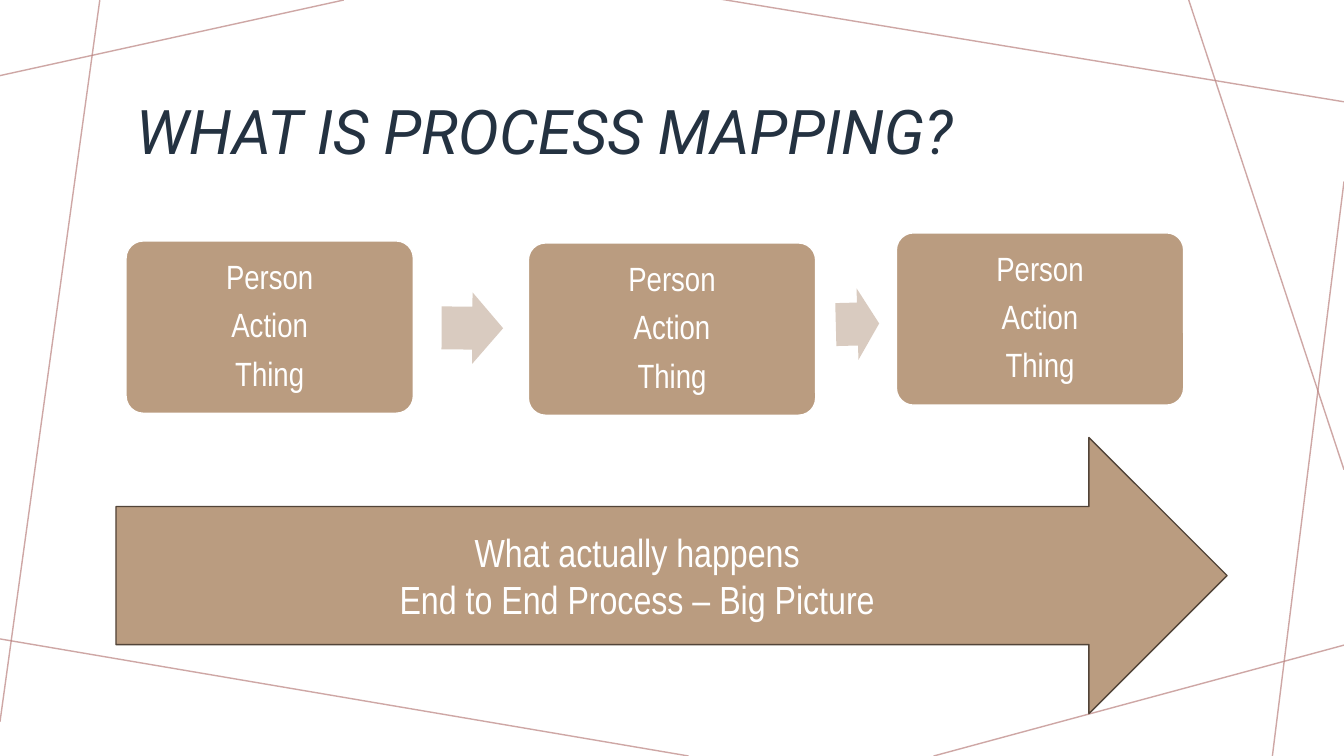
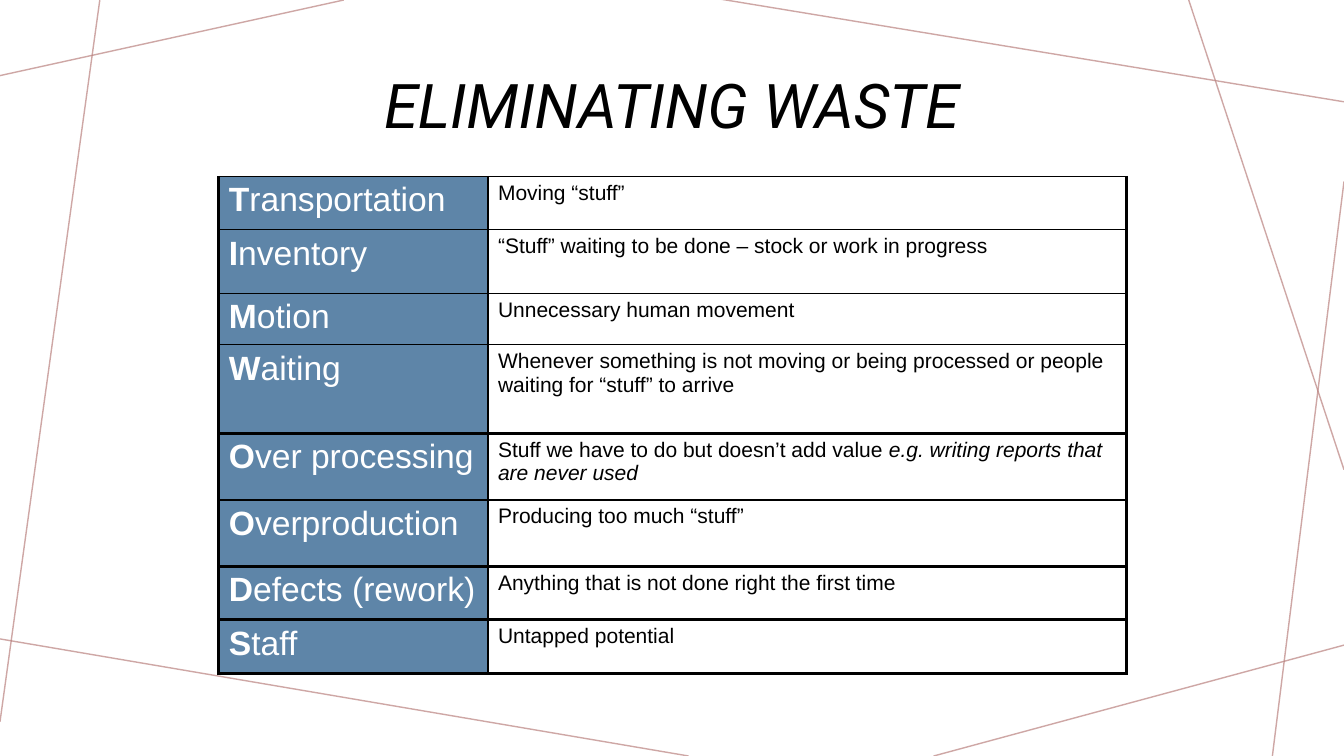
from dataclasses import dataclass
from typing import Optional

from lxml.etree import SubElement
from pptx import Presentation
from pptx.dml.color import RGBColor
from pptx.enum.shapes import MSO_CONNECTOR as Connector, MSO_SHAPE as Shape
from pptx.enum.text import MSO_ANCHOR as Anchor, PP_ALIGN as Align
from pptx.oxml.ns import qn
from pptx.util import Emu, Pt

EMU_PER_PX = 9144
SLIDE_WIDTH, SLIDE_HEIGHT = 1333, 750

COLORS = {
    "white": "FFFFFF",
    "black": "000000",
    "navy": "243241",
    "rose": "BA827F",
    "tan": "BA9C80",
    "sand": "D9CBC0",
    "brown": "524438",
    "blue": "5E85A8",
}
TITLE_FONT, DIAGRAM_FONT, TABLE_FONT = "Roboto", "Arial Narrow", "Arial"
THIN, THICK = 1, 2.25


@dataclass(frozen=True)
class Line:
    x1: int
    y1: int
    x2: int
    y2: int


@dataclass(frozen=True)
class Box:
    left: int
    top: int
    width: int
    height: int


@dataclass(frozen=True)
class StepArrow:
    box: Box
    rotation: float


@dataclass(frozen=True)
class Waste:
    name: str
    height: int
    meaning: str
    example: str = ""


BACKGROUND_LINES = [
    Line(341, 0, 0, 75),
    Line(99, 0, 0, 716),
    Line(683, 750, -5, 633),
    Line(1333, 640, 926, 750),
    Line(1333, 180, 1262, 750),
    Line(1333, 466, 1179, 0),
    Line(1333, 101, 714, -1),
]
STEP_TEXT = "Person\nAction\nThing"
STEPS = [Box(left, top, 285, 171) for left, top in ((125, 239), (524, 241), (889, 231))]
STEP_ARROWS = [
    StepArrow(Box(438, 290, 61, 71), 0.3),
    StepArrow(Box(829, 286, 43, 71), 358.5),
]
OUTCOME_TEXT = "What actually happens\nEnd to End Process – Big Picture"
OUTCOME = Box(115, 434, 1102, 274)

WASTES = [
    Waste("Transportation", 53, "Moving “stuff”"),
    Waste("Inventory", 63, "“Stuff” waiting to be done – stock or work in progress"),
    Waste("Motion", 51, "Unnecessary human movement"),
    Waste("Waiting", 88, "Whenever something is not moving or being processed "
          "or people waiting for “stuff” to arrive"),
    Waste("Over processing", 66, "Stuff we have to do but doesn’t add value ",
          "e.g. writing reports that are never used"),
    Waste("Overproduction", 66, "Producing too much “stuff”"),
    Waste("Defects (rework)", 53, "Anything that is not done right the first time"),
    Waste("Staff", 53, "Untapped potential"),
]
TABLE_LEFT, TABLE_TOP = 217, 175
COLUMN_WIDTHS = (267, 633)
FIRST_THICK_ROW = 4


def px(length: int) -> Emu:
    return Emu(length * EMU_PER_PX)


def rgb(name: str) -> RGBColor:
    return RGBColor.from_string(COLORS[name])


def place(box: Box) -> tuple:
    return px(box.left), px(box.top), px(box.width), px(box.height)


def format_run(run, font: str, size: int, color: str, bold=False, italic=False) -> None:
    run.font.name = font
    run.font.size = Pt(size)
    run.font.color.rgb = rgb(color)
    run.font.bold = bold
    run.font.italic = italic


def add_background_line(slide, line: Line) -> None:
    connector = slide.shapes.add_connector(
        Connector.STRAIGHT, px(line.x1), px(line.y1), px(line.x2), px(line.y2))
    connector.line.width = Pt(THIN)
    connector.line.color.rgb = rgb("rose")
    properties = connector._element.spPr
    color = properties.find(".//" + qn("a:srgbClr"))
    SubElement(color, qn("a:alpha"), val="70000")
    SubElement(properties, qn("a:effectLst"))


def add_title(slide, text: str, top: int, color: str, align: Align) -> None:
    frame = slide.shapes.add_textbox(*place(Box(125, top, 1083, 151))).text_frame
    frame.word_wrap = True
    frame.vertical_anchor = Anchor.MIDDLE
    frame.text = text
    paragraph = frame.paragraphs[0]
    paragraph.alignment = align
    paragraph.line_spacing = 0.9
    format_run(paragraph.runs[0], TITLE_FONT, 44, color, italic=True)


def add_slide(presentation, title: str, top: int, color: str, align: Align):
    slide = presentation.slides.add_slide(presentation.slide_layouts[6])
    slide.background.fill.solid()
    slide.background.fill.fore_color.rgb = rgb("white")
    for line in BACKGROUND_LINES:
        add_background_line(slide, line)
    add_title(slide, title, top, color, align)
    return slide


def add_filled_shape(slide, kind: Shape, box: Box, fill: str, outline: Optional[str] = None):
    shape = slide.shapes.add_shape(kind, *place(box))
    shape.shadow.inherit = False
    shape.fill.solid()
    shape.fill.fore_color.rgb = rgb(fill)
    if outline:
        shape.line.color.rgb = rgb(outline)
        shape.line.width = Pt(THIN)
    else:
        shape.line.fill.background()
    return shape


def set_diagram_text(shape, text: str, size: int):
    frame = shape.text_frame
    frame.word_wrap = True
    frame.vertical_anchor = Anchor.MIDDLE
    frame.text = text
    for paragraph in frame.paragraphs:
        paragraph.alignment = Align.CENTER
        format_run(paragraph.runs[0], DIAGRAM_FONT, size, "white")
    return frame.paragraphs


def add_step(slide, box: Box) -> None:
    shape = add_filled_shape(slide, Shape.ROUNDED_RECTANGLE, box, "tan", "white")
    shape.adjustments[0] = 0.1
    for paragraph in set_diagram_text(shape, STEP_TEXT, 24):
        paragraph.line_spacing = 0.9
        paragraph.space_after = Pt(8.4)


def add_step_arrow(slide, arrow: StepArrow) -> None:
    shape = add_filled_shape(slide, Shape.RIGHT_ARROW, arrow.box, "sand")
    shape.adjustments[0] = 0.6
    shape.adjustments[1] = 0.5
    shape.rotation = arrow.rotation


def set_borders(cell, row: int, column: int) -> None:
    widths = {
        "a:lnL": THICK if column == 0 else THIN,
        "a:lnR": THIN if column == 0 else THICK,
        "a:lnT": THICK if row >= FIRST_THICK_ROW else THIN,
        "a:lnB": THICK if row + 1 >= FIRST_THICK_ROW else THIN,
    }
    properties = cell._tc.get_or_add_tcPr()
    for tag, width in widths.items():
        border = SubElement(properties, qn(tag), w=str(Pt(width)))
        fill = SubElement(border, qn("a:solidFill"))
        SubElement(fill, qn("a:srgbClr"), val=COLORS["black"])


def fill_waste_row(table, row: int, waste: Waste) -> None:
    table.rows[row].height = px(waste.height)
    name_cell, meaning_cell = table.cell(row, 0), table.cell(row, 1)
    for column, cell in enumerate((name_cell, meaning_cell)):
        set_borders(cell, row, column)
    name_cell.fill.solid()
    name_cell.fill.fore_color.rgb = rgb("blue")
    meaning_cell.fill.background()

    name = name_cell.text_frame.paragraphs[0]
    for text, bold in ((waste.name[0], True), (waste.name[1:], False)):
        run = name.add_run()
        run.text = text
        format_run(run, TABLE_FONT, 24, "white", bold=bold)

    meaning = meaning_cell.text_frame.paragraphs[0]
    for text, italic in ((waste.meaning, False), (waste.example, True)):
        if text:
            run = meaning.add_run()
            run.text = text
            format_run(run, TABLE_FONT, 15, "black", italic=italic)


def add_waste_table(slide) -> None:
    box = Box(TABLE_LEFT, TABLE_TOP, sum(COLUMN_WIDTHS), sum(waste.height for waste in WASTES))
    table = slide.shapes.add_table(len(WASTES), len(COLUMN_WIDTHS), *place(box)).table
    table.first_row = False
    table.horz_banding = False
    for column, width in zip(table.columns, COLUMN_WIDTHS):
        column.width = px(width)
    for row, waste in enumerate(WASTES):
        fill_waste_row(table, row, waste)


def build_process_slide(presentation) -> None:
    slide = add_slide(presentation, "WHAT IS PROCESS MAPPING?", 58, "navy", Align.LEFT)
    for step in STEPS:
        add_step(slide, step)
    for arrow in STEP_ARROWS:
        add_step_arrow(slide, arrow)
    outcome = add_filled_shape(slide, Shape.RIGHT_ARROW, OUTCOME, "tan", "brown")
    set_diagram_text(outcome, OUTCOME_TEXT, 28)


def build_waste_slide(presentation) -> None:
    slide = add_slide(presentation, "ELIMINATING WASTE", 32, "black", Align.CENTER)
    add_waste_table(slide)


def main() -> None:
    presentation = Presentation()
    presentation.slide_width = px(SLIDE_WIDTH)
    presentation.slide_height = px(SLIDE_HEIGHT)
    build_process_slide(presentation)
    build_waste_slide(presentation)
    presentation.save("out.pptx")


if __name__ == "__main__":
    main()
